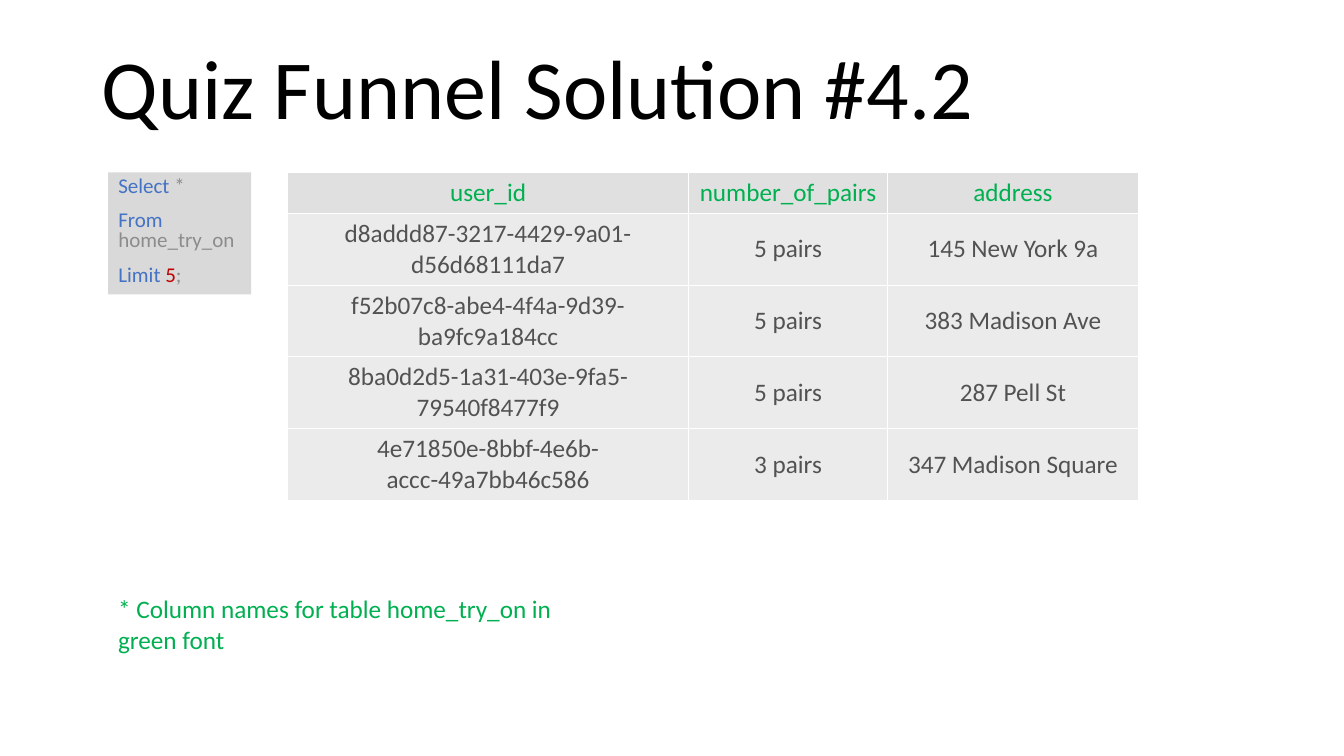
from lxml import etree
from pptx import Presentation
from pptx.dml.color import RGBColor
from pptx.enum.text import MSO_ANCHOR, MSO_AUTO_SIZE, PP_ALIGN
from pptx.oxml.ns import qn
from pptx.util import Pt

LEFT, CENTER = PP_ALIGN.LEFT, PP_ALIGN.CENTER
TOP, MIDDLE, BOTTOM = MSO_ANCHOR.TOP, MSO_ANCHOR.MIDDLE, MSO_ANCHOR.BOTTOM
NO_FIT = MSO_AUTO_SIZE.NONE
GROW = MSO_AUTO_SIZE.SHAPE_TO_FIT_TEXT

COLORS = {
    "title": "000000", "keyword": "4472C4", "plain": "8C8C8C",
    "number": "C00000", "code_fill": "D9D9D9", "column_name": "00B050",
    "value": "525252", "header_fill": "E0E0E0", "row_fill": "EBEBEB",
    "border": "FFFFFF",
}


def add_run(paragraph, text, size, color):
    run = paragraph.add_run()
    run.text = text
    run.font.name = "Calibri"
    run.font.size = Pt(size)
    run.font.bold = False
    run.font.color.rgb = RGBColor.from_string(COLORS[color])


def place(shape, left, top, width, height):
    shape.left, shape.top = Pt(left), Pt(top)
    shape.width, shape.height = Pt(width), Pt(height)


presentation = Presentation()
presentation.slide_width, presentation.slide_height = Pt(960), Pt(540)
slide = presentation.slides.add_slide(presentation.slide_layouts[1])

# Title
title = slide.shapes.title
place(title, 65.5, 18, 828, 84)
title.text_frame.auto_size = NO_FIT
title.text_frame.vertical_anchor = BOTTOM
paragraph = title.text_frame.paragraphs[0]
paragraph.alignment = LEFT
paragraph.line_spacing = 0.9
add_run(paragraph, "Quiz Funnel Solution #4.2", 60, "title")

# SQL query
query = slide.placeholders[1]
place(query, 77.3, 123.1, 102.2, 87.1)
query.fill.solid()
query.fill.fore_color.rgb = RGBColor.from_string(COLORS["code_fill"])
query_frame = query.text_frame
query_frame.auto_size = NO_FIT
query_frame.vertical_anchor = TOP
query_lines = [
    [("Select", "keyword"), (" *", "plain")],
    [("From ", "keyword"), ("home_try_on", "plain")],
    [("Limit ", "keyword"), ("5", "number"), (";", "plain")],
]
for index, parts in enumerate(query_lines):
    paragraph = query_frame.add_paragraph() if index else query_frame.paragraphs[0]
    paragraph.line_spacing = 0.8
    paragraph.space_before = Pt(10)
    properties = paragraph._p.get_or_add_pPr()
    properties.set("marL", "0")
    properties.set("indent", "0")
    etree.SubElement(properties, qn("a:buNone"))
    for text, color in parts:
        add_run(paragraph, text, 15, color)

# Result table
rows = [
    ("user_id", "number_of_pairs", "address"),
    ("d8addd87-3217-4429-9a01-d56d68111da7", "5 pairs", "145 New York 9a"),
    ("f52b07c8-abe4-4f4a-9d39-ba9fc9a184cc", "5 pairs", "383 Madison Ave"),
    ("8ba0d2d5-1a31-403e-9fa5-79540f8477f9", "5 pairs", "287 Pell St"),
    ("4e71850e-8bbf-4e6b-accc-49a7bb46c586", "3 pairs", "347 Madison Square"),
]
column_widths = [286.5, 142, 179.3]
header_height, row_height = 28.8, 51.2
table = slide.shapes.add_table(
    len(rows), len(column_widths), Pt(205.4), Pt(123.3), Pt(sum(column_widths)),
    Pt(header_height + row_height * (len(rows) - 1))).table
for column, width in zip(table.columns, column_widths):
    column.width = Pt(width)
for row_index, values in enumerate(rows):
    is_header = row_index == 0
    table.rows[row_index].height = Pt(header_height if is_header else row_height)
    for column_index, value in enumerate(values):
        cell = table.cell(row_index, column_index)
        cell.vertical_anchor = MIDDLE
        cell_properties = cell._tc.get_or_add_tcPr()
        for side in ("lnL", "lnR", "lnT", "lnB"):
            line = etree.SubElement(cell_properties, qn("a:" + side), w=str(Pt(0.75)))
            line_fill = etree.SubElement(line, qn("a:solidFill"))
            etree.SubElement(line_fill, qn("a:srgbClr"), val=COLORS["border"])
        cell.fill.solid()
        cell.fill.fore_color.rgb = RGBColor.from_string(
            COLORS["header_fill" if is_header else "row_fill"])
        paragraph = cell.text_frame.paragraphs[0]
        paragraph.alignment = CENTER
        add_run(paragraph, value, 18, "column_name" if is_header else "value")

# Footnote
footnote = slide.shapes.add_textbox(Pt(77.3), Pt(420.5), Pt(368.6), Pt(51))
footnote.text_frame.word_wrap = True
footnote.text_frame.auto_size = GROW
add_run(footnote.text_frame.paragraphs[0],
        "* Column names for table home_try_on in green font", 18, "column_name")

presentation.save("out.pptx")
